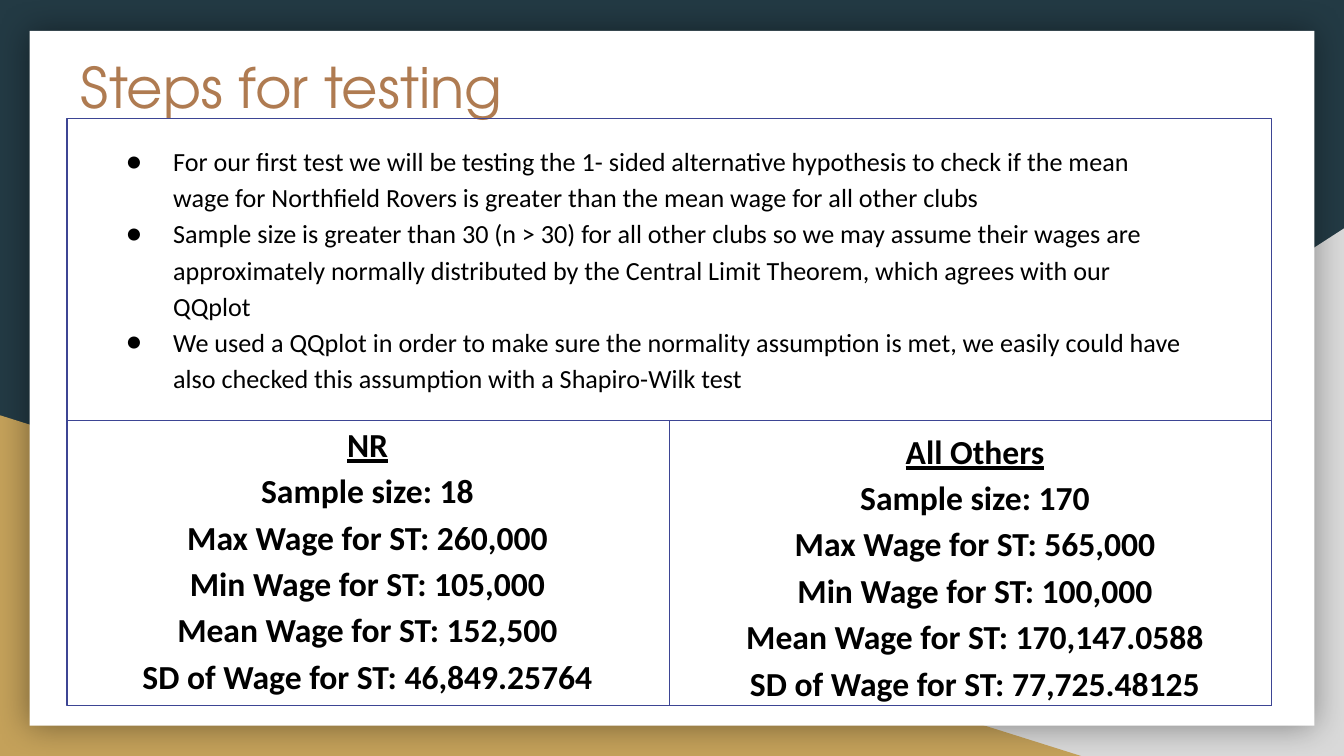
"""Build the slide on steps for testing wages."""
from typing import NamedTuple

from lxml import etree
from pptx import Presentation
from pptx.dml.color import RGBColor
from pptx.enum.shapes import MSO_SHAPE
from pptx.enum.text import MSO_ANCHOR, PP_ALIGN
from pptx.oxml import parse_xml
from pptx.oxml.ns import nsdecls, qn
from pptx.util import Inches, Pt

RECT = MSO_SHAPE.RECTANGLE
WEDGE = MSO_SHAPE.RIGHT_TRIANGLE
TOP = MSO_ANCHOR.TOP
LEFT = PP_ALIGN.LEFT
CENTER = PP_ALIGN.CENTER

NAVY, GOLD, GREY, WHITE = "233A44", "C4A15A", "D9D9D9", "FFFFFF"
BROWN, BLUE, BLACK = "AF7B51", "3D4594", "000000"
FONT = "Calibri"


class Box(NamedTuple):
    left: float
    top: float
    width: float
    height: float


class Group(NamedTuple):
    box: Box
    name: str
    size: str
    most: str
    least: str
    mean: str
    dev: str


STEPS = [
    "For our first test we will be testing the 1- sided alternative hypothesis to check "
    "if the mean wage for Northfield Rovers is greater than the mean wage for all other clubs",
    "Sample size is greater than 30 (n > 30) for all other clubs so we may assume their "
    "wages are approximately normally distributed by the Central Limit Theorem, which "
    "agrees with our QQplot",
    "We used a QQplot in order to make sure the normality assumption is met, we easily "
    "could have also checked this assumption with a Shapiro-Wilk test",
]
GROUPS = [
    Group(Box(0.77, 3.01, 3.93, 2.3), "NR", "18", "260,000", "105,000",
          "152,500", "46,849.25764"),
    Group(Box(5.1, 3.06, 4.31, 2.12), "All Others", "170", "565,000", "100,000",
          "170,147.0588", "77,725.48125"),
]
FRAME = Box(0.5, 0.88, 8.96, 4.37)
HALF = FRAME.width / 2
SPLIT = 3.13
LOW = FRAME.top + FRAME.height - SPLIT


def color(code: str) -> RGBColor:
    return RGBColor.from_string(code)


def place(shape, box: Box) -> None:
    shape.left, shape.top, shape.width, shape.height = map(Inches, box)


def add_shape(slide, kind, box: Box, fill: str = "", line: str = ""):
    shape = slide.shapes.add_shape(kind, *map(Inches, box))
    shape.shadow.inherit = False
    if fill:
        shape.fill.solid()
        shape.fill.fore_color.rgb = color(fill)
    else:
        shape.fill.background()
    if line:
        shape.line.color.rgb = color(line)
        shape.line.width = Pt(0.75)
    else:
        shape.line.fill.background()
    return shape


def add_glow(shape) -> None:
    props = shape.element.spPr
    props.remove(props.find(qn("a:effectLst")))
    props.append(parse_xml(
        f'<a:effectLst {nsdecls("a")}><a:outerShdw blurRad="{Pt(18)}" dist="0" dir="0" '
        f'algn="ctr" rotWithShape="0"><a:srgbClr val="{BLACK}"><a:alpha val="40000"/>'
        '</a:srgbClr></a:outerShdw></a:effectLst>'))


def set_text(shape, lines: list[str], font: str, size: float, code: str, align) -> None:
    frame = shape.text_frame
    frame.word_wrap = True
    frame.vertical_anchor = TOP
    frame.margin_left = frame.margin_right = Inches(0.1)
    frame.margin_top = frame.margin_bottom = Inches(0.1)
    frame.text = "\n".join(lines)
    for para in frame.paragraphs:
        para.alignment = align
        for run in para.runs:
            run.font.name = font
            run.font.size = Pt(size)
            run.font.color.rgb = color(code)


def add_text(slide, box: Box, lines: list[str], size: float, align):
    text = slide.shapes.add_textbox(*map(Inches, box))
    set_text(text, lines, FONT, size, BLACK, align)
    for para in text.text_frame.paragraphs:
        para.line_spacing = 1.15
    return text


def add_steps(slide) -> None:
    text = add_text(slide, Box(0.69, 0.95, 8.21, 2.11), STEPS, 14, LEFT)
    for para in text.text_frame.paragraphs:
        props = para._p.get_or_add_pPr()
        props.set("marL", str(Inches(0.5)))
        props.set("indent", str(Inches(-0.35)))
        tint = etree.SubElement(props, qn("a:buClr"))
        etree.SubElement(tint, qn("a:srgbClr")).set("val", BLACK)
        etree.SubElement(props, qn("a:buSzPts")).set("val", "1400")
        etree.SubElement(props, qn("a:buFont")).set("typeface", FONT)
        etree.SubElement(props, qn("a:buChar")).set("char", "●")


def add_group(slide, group: Group) -> None:
    lines = [
        group.name,
        f"Sample size: {group.size}",
        f"Max Wage for ST: {group.most}",
        f"Min Wage for ST: {group.least}",
        f"Mean Wage for ST: {group.mean}",
        f"SD of Wage for ST: {group.dev}",
    ]
    text = add_text(slide, group.box, lines, 18, CENTER)
    for para in text.text_frame.paragraphs:
        para.runs[0].font.bold = True
    text.text_frame.paragraphs[0].runs[0].font.underline = True


def add_back(slide) -> None:
    slide.background.fill.solid()
    slide.background.fill.fore_color.rgb = color(NAVY)
    right = add_shape(slide, WEDGE, Box(3.92, 1.7, 6.08, 3.93), GREY)
    right.element.spPr.xfrm.set("flipH", "1")
    add_shape(slide, WEDGE, Box(0, 3.09, 8.06, 2.54), GOLD)
    add_glow(add_shape(slide, RECT, Box(0.22, 0.23, 9.56, 5.17), WHITE))


def add_title(slide) -> None:
    title = slide.shapes.title
    place(title, Box(0.5, 0.29, 8.21, 1.04))
    set_text(title, ["Steps for testing"], "TeX Gyre Adventor", 30, BROWN, LEFT)
    slide.shapes.element.append(title.element)


def main() -> None:
    deck = Presentation()
    deck.slide_width = Inches(10)
    deck.slide_height = deck.slide_width * 9 // 16
    slide = deck.slides.add_slide(deck.slide_layouts[5])
    add_back(slide)
    add_title(slide)
    add_shape(slide, RECT, FRAME, line=BLUE)
    add_steps(slide)
    for group in GROUPS:
        add_group(slide, group)
    for col in range(len(GROUPS)):
        add_shape(slide, RECT, Box(FRAME.left + col * HALF, SPLIT, HALF, LOW), line=BLUE)
    deck.save("out.pptx")


if __name__ == "__main__":
    main()
